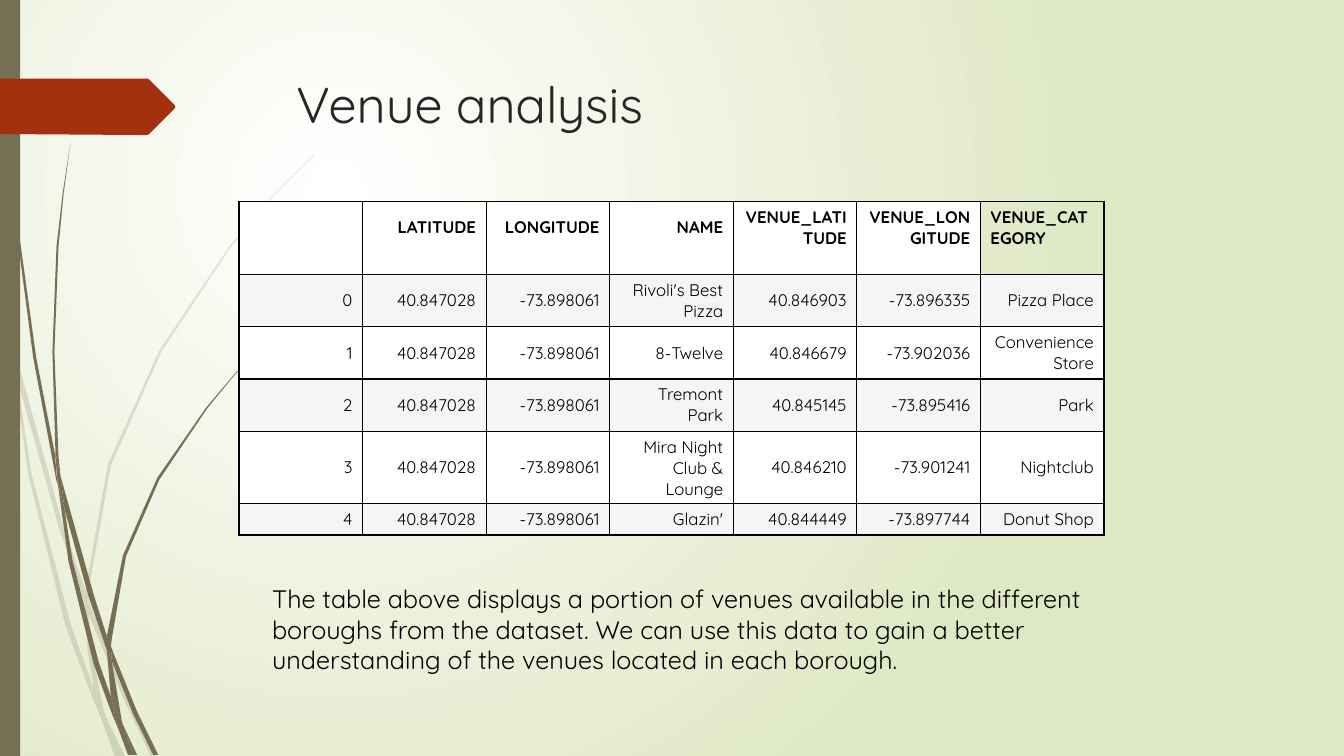
from dataclasses import dataclass

from lxml.etree import SubElement
from pptx import Presentation
from pptx.dml.color import RGBColor as RGB
from pptx.enum.shapes import MSO_SHAPE as Preset
from pptx.enum.text import MSO_ANCHOR as Anchor, PP_ALIGN as Align
from pptx.oxml.ns import qn
from pptx.util import Pt

PX = 9144  # 100 px to the inch
SLIDE = (0, 0, 1333, 750)


@dataclass(frozen=True)
class Theme:
    font: str = "Quicksand"
    stem: str = "766F54"
    ribbon: str = "A53010"
    glow: str = "FFFFFF"
    backdrop: str = "DFE8C4"
    title: str = "262626"
    ink: str = "000000"
    bands: tuple = ("FFFFFF", "F5F5F5")
    title_size: int = 36
    body_size: int = 18
    cell_size: int = 12


THEME = Theme()

# Outlines of the grass blades, as x,y corners in px
PALE_BLADES = """
11,350 9,322 0,282 0,299 10,344
58,522 84,599 85,586 62,520 14,345 17,376
92,607 88,596 88,610 123,694 150,751 155,751 127,692
119,751 124,751 105,711
93,683 70,619 31,469 17,376 11,350 28,470 65,621 92,693 101,714 99,707
84,599 87,646 93,683 96,692 105,711 103,706 91,646 88,610 88,608
88,584 110,462 160,349 229,245 268,198 290,175 312,154 312,153 289,175 268,197 228,244 158,348 107,461 85,584 85,586 88,596
101,714 114,751 119,751
88,608 88,610 88,596 85,586 84,599
96,692 93,683 99,707 101,714 119,751 105,711
"""
DARK_BLADES = """
7,110 17,233 33,355 56,477 57,481 55,457 55,453 36,355 19,232 8,109 5,48 4,0 3,0 4,48
88,592 106,645 106,633 106,631 93,590 60,472 64,505
113,649 110,641 111,656 132,708 152,749 157,749 136,706
110,691 98,657 72,556 64,505 57,477 68,557 93,659 111,708 117,722 116,717
60,472 58,453 54,349 58,245 63,193 70,141 62,193 56,245 52,349 55,449
133,749 136,749 122,719
57,477 64,505 60,472 55,449 55,453
111,633 125,552 158,476 205,406 231,374 245,359 261,344 260,344 245,358 231,373 204,405 156,474 122,551 106,631 110,641
117,722 127,749 131,749
106,645 110,691 116,706 122,719 121,716 111,656 109,651
106,645 109,651 111,656 110,641 106,631 106,633
116,706 110,691 116,717 117,722 130,749 133,749 122,719
"""
RIBBON = "0,0 146,0 148,1 173,26 174,28 173,30 148,55 146,56 136,56 0,55"

VENUE_HEADER = ("", "LATITUDE", "LONGITUDE", "NAME", "VENUE_LATITUDE",
                "VENUE_LONGITUDE", "VENUE_CATEGORY")
BOROUGH_POINT = ("40.847028", "-73.898061")
VENUES = (
    ("Rivoli's Best Pizza", "40.846903", "-73.896335", "Pizza Place"),
    ("8-Twelve", "40.846679", "-73.902036", "Convenience Store"),
    ("Tremont Park", "40.845145", "-73.895416", "Park"),
    ("Mira Night Club & Lounge", "40.846210", "-73.901241", "Nightclub"),
    ("Glazin'", "40.844449", "-73.897744", "Donut Shop"),
)
ROW_HEIGHTS = (72, 52, 52, 52, 72, 31)
SUMMARY = ("The table above displays a portion of venues available in the "
           "different boroughs from the dataset. We can use this data to gain "
           "a better understanding of the venues located in each borough.")


def emu(*lengths):
    return [round(length * PX) for length in lengths]


def paint(shape, color, opacity=100):
    shape.shadow.inherit = False
    shape.line.fill.background()
    shape.fill.solid()
    shape.fill.fore_color.rgb = RGB.from_string(color)
    if opacity < 100:
        tint = shape.element.spPr.find(".//" + qn("a:srgbClr"))
        SubElement(tint, qn("a:alpha"), val=str(opacity * 1000))


def draw_outline(shapes, box, outline, color, opacity=100):
    left, top = box[:2]
    corners = [map(int, pair.split(",")) for pair in outline.split()]
    first, *others = [(left + x, top + y) for x, y in corners]
    builder = shapes.build_freeform(*first, scale=PX)
    builder.add_line_segments(others, close=True)
    paint(builder.convert_to_shape(), color, opacity)


def style(run, size, color, bold=False):
    formats = {"name": THEME.font, "size": Pt(size), "bold": bold}
    for attribute, value in formats.items():
        setattr(run.font, attribute, value)
    run.font.color.rgb = RGB.from_string(color)


def fill_background(slide):
    fill = slide.background.fill
    fill.gradient()
    for stop, color, position in zip(fill.gradient_stops,
                                     (THEME.glow, THEME.backdrop), (0, 1)):
        stop.color.rgb = RGB.from_string(color)
        stop.position = position
    gradient = slide.element.find(".//" + qn("a:gradFill"))
    gradient.remove(gradient.find(qn("a:lin")))
    circle = SubElement(gradient, qn("a:path"), {"path": "circle"})
    SubElement(circle, qn("a:fillToRect"), l="50000", t="50000",
               r="100000", b="100000")


def draw_grass(slide, box, blades, opacity):
    tuft = slide.shapes.add_group_shape().shapes
    for blade in blades.strip().splitlines():
        draw_outline(tuft, box, blade, THEME.stem, opacity)


def draw_edge(slide, box):
    """Side bar with the ribbon that points to the title."""
    left, top, _, height = box
    bar = slide.shapes.add_shape(Preset.RECTANGLE, *emu(left, top, 20, height))
    paint(bar, THEME.stem)
    draw_outline(slide.shapes, (left, top + 78), RIBBON, THEME.ribbon)


def write_text(slide, box, words, size, color):
    frame = slide.shapes.add_textbox(*emu(*box)).text_frame
    frame.word_wrap = True
    run = frame.paragraphs[0].add_run()
    run.text = words
    style(run, size, color)


def border_cell(cell):
    properties = cell._tc.get_or_add_tcPr()
    for place, side in enumerate(("lnL", "lnR", "lnT", "lnB")):
        line = SubElement(properties, qn("a:" + side), w=str(Pt(1)))
        ink = SubElement(line, qn("a:solidFill"))
        SubElement(ink, qn("a:srgbClr"), val=THEME.ink)
        properties.insert(place, line)


def fill_cell(cell, words, row, is_corner):
    paragraph = cell.text_frame.paragraphs[0]
    if words:
        run = paragraph.add_run()
        run.text = words
        style(run, THEME.cell_size, THEME.ink, bold=row == 0)
    if row == 0:
        cell.margin_bottom = emu(26)[0]
    if is_corner:
        cell.fill.background()
    else:
        paragraph.alignment = Align.RIGHT
        cell.vertical_anchor = Anchor.MIDDLE
        cell.fill.solid()
        cell.fill.fore_color.rgb = RGB.from_string(THEME.bands[row % 2])
    border_cell(cell)


def draw_venue_table(slide, box):
    rows = [VENUE_HEADER] + [
        (str(index), *BOROUGH_POINT, *venue) for index, venue in enumerate(VENUES)]
    last = len(VENUE_HEADER) - 1
    table = slide.shapes.add_table(len(rows), last + 1, *emu(*box)).table
    table.first_row = table.horz_banding = False
    for column in table.columns:
        column.width = emu(box[2] / (last + 1))[0]
    for r, (entries, height) in enumerate(zip(rows, ROW_HEIGHTS)):
        table.rows[r].height = emu(height)[0]
        for c, words in enumerate(entries):
            fill_cell(table.cell(r, c), words, r, (r, c) == (0, last))


def main():
    deck = Presentation()
    deck.slide_width, deck.slide_height = emu(*SLIDE[2:])
    slide = deck.slides.add_slide(deck.slide_layouts[6])
    fill_background(slide)
    draw_grass(slide, SLIDE, PALE_BLADES, opacity=20)
    draw_grass(slide, SLIDE, DARK_BLADES, opacity=100)
    draw_edge(slide, SLIDE)
    write_text(slide, (284, 68, 975, 140), "Venue analysis",
               THEME.title_size, THEME.title)
    draw_venue_table(slide, (237, 200, 858, sum(ROW_HEIGHTS)))
    write_text(slide, (260, 574, 839, 101), SUMMARY, THEME.body_size, THEME.ink)
    deck.save("out.pptx")


if __name__ == "__main__":
    main()
